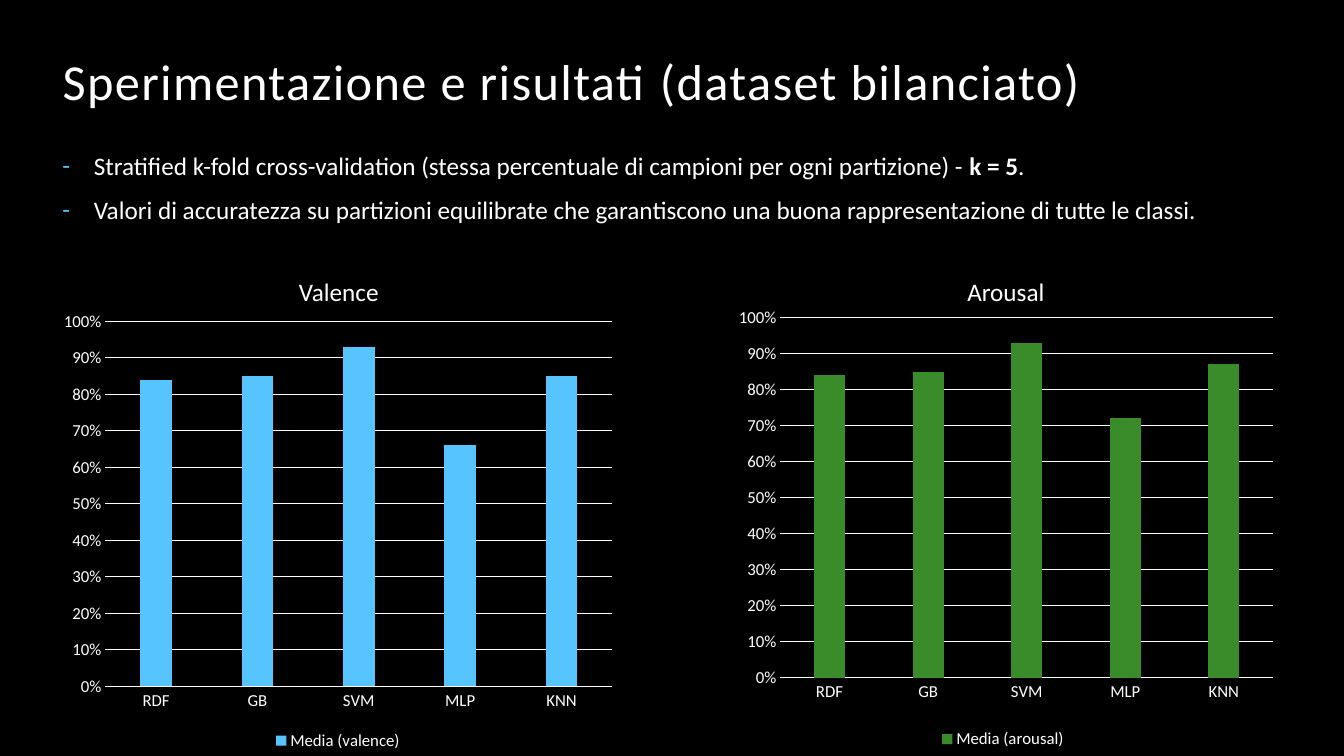
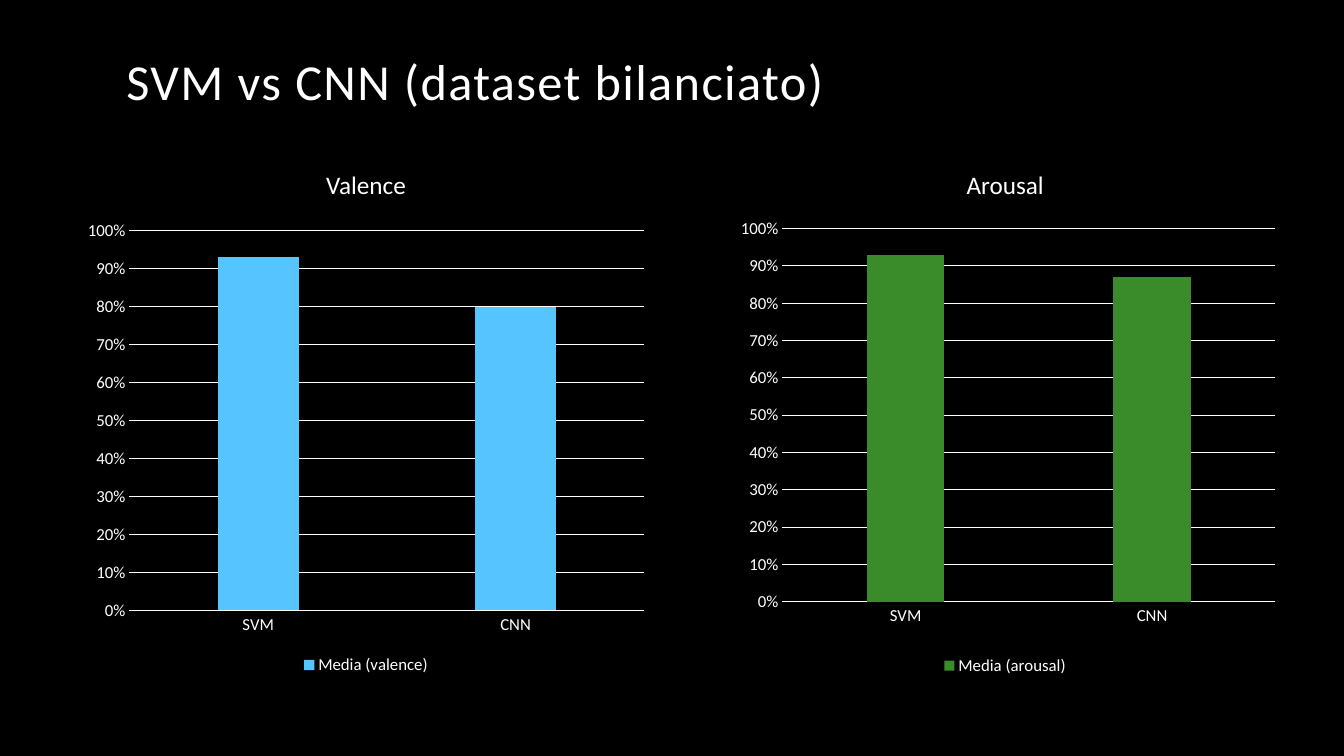
from lxml import etree
from pptx import Presentation
from pptx.chart.data import CategoryChartData
from pptx.dml.color import RGBColor
from pptx.enum.chart import XL_CHART_TYPE as CT, XL_LEGEND_POSITION as LP, XL_TICK_MARK as TM
from pptx.enum.text import MSO_ANCHOR as ANCHOR, MSO_AUTO_SIZE as FIT, PP_ALIGN as ALIGN
from pptx.oxml import parse_xml
from pptx.oxml.ns import nsdecls, qn
from pptx.util import Pt

BLACK = RGBColor(0x00, 0x00, 0x00)
WHITE = RGBColor(0xFF, 0xFF, 0xFF)
BLUE = RGBColor(0x56, 0xC5, 0xFF)
GREEN = RGBColor(0x39, 0x8C, 0x29)
FONT = "Calibri"
PLOT = {"x": 0.11, "y": 0.044, "w": 0.863, "h": 0.791}  # inner plot, as shares of the chart

BULLETS = [
    [("Stratified k-fold cross-validation (stessa percentuale di campioni per ogni partizione) - ", False),
     ("k = 5", True), (".", False)],
    [("Valori di accuratezza su partizioni equilibrate che garantiscono una buona "
      "rappresentazione di tutte le classi.", False)],
]

# Boxes are left, top, width, height in points
SLIDES = [
    {"title": "Sperimentazione e risultati (dataset bilanciato)",
     "box": (37.5, 21, 884, 62.5),
     "bullets": BULLETS,
     "cats": ["RDF", "GB", "SVM", "MLP", "KNN"],
     "charts": [
         ("Valence", (103, 193.5), BLUE, (37.5, 216, 408, 323), [0.84, 0.85, 0.93, 0.66, 0.85], None),
         ("Arousal", (579.5, 193.5), GREEN, (512.5, 212.5, 408, 325.5), [0.84, 0.85, 0.93, 0.72, 0.87], PLOT)]},
    {"title": "SVM vs CNN (dataset bilanciato)",
     "box": (83, 31.5, 811, 51.5),
     "bullets": [],
     "cats": ["SVM", "CNN"],
     "charts": [
         ("Valence", (122.5, 117.5), BLUE, (54.5, 151, 414, 334), [0.93, 0.8], None),
         ("Arousal", (579, 117.5), GREEN, (514, 148.5, 408, 337), [0.93, 0.87], PLOT)]},
]


def style(font, size, bold=False):
    font.name, font.size, font.bold = FONT, Pt(size), bold
    font.color.rgb = WHITE


def add_column_chart(s, box, cats, name, values, color, plot):
    data = CategoryChartData(number_format="0%")
    data.categories = cats
    data.add_series(name, values)
    chart = s.shapes.add_chart(CT.COLUMN_CLUSTERED, *map(Pt, box), data).chart
    chart.has_title = False
    style(chart.font, 10)

    # Columns
    bars = chart.plots[0]
    bars.gap_width, bars.overlap, bars.vary_by_categories = 219, -27, False
    fill = bars.series[0].format.fill
    fill.solid()
    fill.fore_color.rgb = color

    # Axes
    cat_axis, val_axis = chart.category_axis, chart.value_axis
    for axis in (cat_axis, val_axis):
        axis.major_tick_mark = axis.minor_tick_mark = TM.NONE
        style(axis.tick_labels.font, 12)
    val_axis.minimum_scale, val_axis.maximum_scale, val_axis.major_unit = 0, 1, 0.1
    val_axis.tick_labels.number_format = "0%"
    val_axis.tick_labels.number_format_is_linked = False
    val_axis.format.line.fill.background()
    for line in (cat_axis.format.line, val_axis.major_gridlines.format.line):
        line.color.rgb = WHITE
        line.width = Pt(0.75)

    # Legend
    chart.has_legend = True
    chart.legend.position = LP.BOTTOM
    chart.legend.include_in_layout = False
    style(chart.legend.font, 12)

    # Fixed plot area
    if plot:
        area = chart.element.xpath("c:chart/c:plotArea")[0]
        for old in area.findall(qn("c:layout")):
            area.remove(old)
        layout = parse_xml(f'<c:layout {nsdecls("c")}><c:manualLayout/></c:layout>')
        settings = {"layoutTarget": "inner", "xMode": "edge", "yMode": "edge", **plot}
        for tag, val in settings.items():
            etree.SubElement(layout[0], qn(f"c:{tag}")).set("val", str(val))
        area.insert(0, layout)


prs = Presentation()
prs.slide_width, prs.slide_height = Pt(960), Pt(540)

for content in SLIDES:
    s = prs.slides.add_slide(prs.slide_layouts[5])
    s.background.fill.solid()
    s.background.fill.fore_color.rgb = BLACK

    # Title
    title = s.shapes.title
    title.left, title.top, title.width, title.height = map(Pt, content["box"])
    tf = title.text_frame
    tf.text = content["title"]
    tf.auto_size, tf.vertical_anchor = FIT.NONE, ANCHOR.BOTTOM
    p = tf.paragraphs[0]
    p.alignment, p.line_spacing = ALIGN.LEFT, 0.9
    r = p.runs[0]
    style(r.font, 36)
    r.font._element.set("spc", "100")

    # Bullets
    if content["bullets"]:
        tf = s.shapes.add_textbox(Pt(37.5), Pt(106), Pt(884), Pt(70)).text_frame
        tf.word_wrap = True
        for i, parts in enumerate(content["bullets"]):
            p = tf.add_paragraph() if i else tf.paragraphs[0]
            p.line_spacing, p.space_before = 0.9, Pt(12 if i else 0)
            pPr = p._p.get_or_add_pPr()
            pPr.set("marL", str(Pt(22.5)))
            pPr.set("indent", str(Pt(-22.5)))
            color = etree.SubElement(pPr, qn("a:buClr"))
            etree.SubElement(color, qn("a:srgbClr")).set("val", str(BLUE))
            etree.SubElement(pPr, qn("a:buFont")).set("typeface", FONT)
            etree.SubElement(pPr, qn("a:buChar")).set("char", "-")
            for text, bold in parts:
                r = p.add_run()
                r.text = text
                style(r.font, 18, bold)

    # Charts with their headings
    for heading, spot, color, box, values, plot in content["charts"]:
        add_column_chart(s, box, content["cats"], f"Media ({heading.lower()})", values, color, plot)
        tf = s.shapes.add_textbox(*map(Pt, spot), Pt(278), Pt(29)).text_frame
        tf.word_wrap = True
        tf.text = heading
        p = tf.paragraphs[0]
        p.alignment = ALIGN.CENTER
        style(p.runs[0].font, 18)

prs.save("out.pptx")
